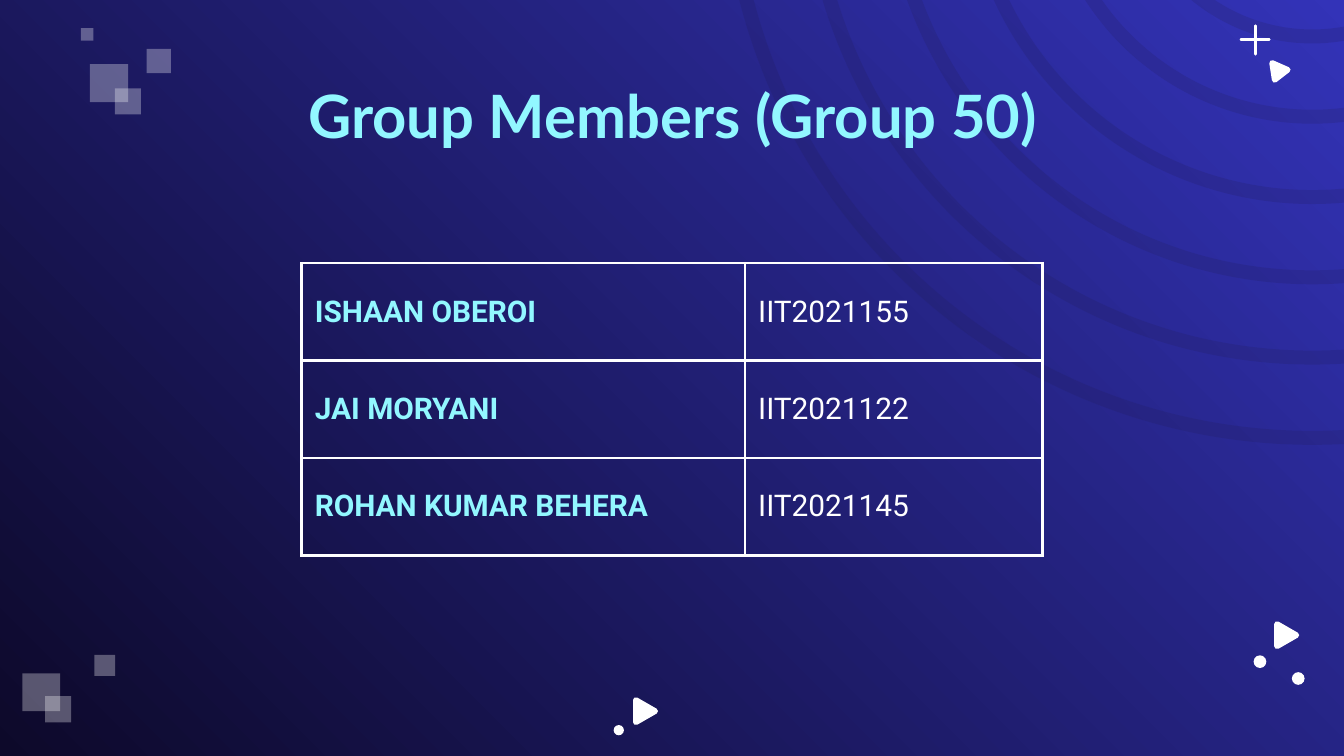
from lxml.etree import SubElement
from pptx import Presentation
from pptx.dml.color import RGBColor
from pptx.enum.shapes import MSO_CONNECTOR, MSO_SHAPE as Shape
from pptx.enum.text import MSO_ANCHOR as Anchor, PP_ALIGN as Align
from pptx.oxml.ns import qn
from pptx.util import Pt

THEME = {
    "night": "0D092A", "indigo": "3333B8", "ring": "201A4A",
    "white": "FFFFFF", "cyan": "92F7FF",
    "title_font": "Lato", "body_font": "Roboto",
    "title_size": 32, "body_size": 16, "border": 1.5,
}

# Content
TITLE = "Group Members (Group 50)"
MEMBERS = [
    ("ISHAAN OBEROI", "IIT2021155"),
    ("JAI MORYANI", "IIT2021122"),
    ("ROHAN KUMAR BEHERA", "IIT2021145"),
]

# Layout, in points
TITLE_BOX = (57, 42.5, 607, 37.5)
TABLE_LEFT, TABLE_TOP, ROW_HEIGHT = 161.5, 141, 52.2
COLUMN_WIDTHS = (237.5, 159.5)
PADDING = 7.2

# Decoration, in points
RING_CENTER, RING_RADIUS, RING_STEP = (703, -78.5), 316.8, 43
RING_COUNT, RING_WIDTH = 6, 7.5
SQUARES = [  # left, top, side
    (48.2, 34.3, 20.5), (61.5, 47.3, 14), (78.5, 26.2, 13), (43.4, 15.1, 6.7),
    (50.5, 350.9, 11.2), (12, 360.8, 20.3), (24.2, 373, 14),
]
DOTS = [(695.5, 363.5, 6.8), (675, 354.5, 6.8), (331.5, 391.2, 5.5)]  # x, y, diameter
PLUS_CENTER, PLUS_ARM = (672.4, 21.4), 7.6
ARROW = [(0, 0), (0, 12), (10.4, 6)]
TILTED_ARROW = [(0, 0), (1.4, 9.1), (8.4, 3.7)]
TRIANGLES = [(684.1, 334.3, ARROW), (340.6, 375, ARROW), (681.5, 33.7, TILTED_ARROW)]
TRIANGLE_EDGE = 3


def color(name):
    return RGBColor.from_string(THEME[name])


def paint(shape, name, opacity=100):
    shape.shadow.inherit = False
    shape.fill.solid()
    shape.fill.fore_color.rgb = color(name)
    shape.line.fill.background()
    if opacity < 100:
        tint = shape.fill._xPr.find(qn("a:solidFill"))[0]
        SubElement(tint, qn("a:alpha")).set("val", str(opacity * 1000))


def add_preset(slide, kind, left, top, side, name, opacity=100):
    shape = slide.shapes.add_shape(kind, Pt(left), Pt(top), Pt(side), Pt(side))
    paint(shape, name, opacity)
    return shape


def add_line(slide, x1, y1, x2, y2):
    line = slide.shapes.add_connector(MSO_CONNECTOR.STRAIGHT, Pt(x1), Pt(y1), Pt(x2), Pt(y2))
    line.line.color.rgb = color("white")
    line.line.width = Pt(1.5)
    line.line._get_or_add_ln().set("cap", "rnd")
    SubElement(line._element.spPr, qn("a:effectLst"))


def add_triangle(slide, left, top, corners):
    points = [(Pt(left + x), Pt(top + y)) for x, y in corners]
    builder = slide.shapes.build_freeform(*points[0])
    builder.add_line_segments(points[1:], close=True)
    triangle = builder.convert_to_shape()
    paint(triangle, "white")
    # A wide round-joined outline softens the corners
    triangle.line.color.rgb = color("white")
    triangle.line.width = Pt(TRIANGLE_EDGE)
    SubElement(triangle.line._get_or_add_ln(), qn("a:round"))


def style_text(para, font, size, name, bold):
    for span in para.runs:
        span.font.name = THEME[font]
        span.font.size = Pt(THEME[size])
        span.font.color.rgb = color(name)
        span.font.bold = bold


def pad(box):
    box.margin_left = box.margin_right = box.margin_top = box.margin_bottom = Pt(PADDING)
    box.vertical_anchor = Anchor.MIDDLE


def add_borders(cell):
    properties = cell._tc.get_or_add_tcPr()
    for position, side in enumerate(("lnL", "lnR", "lnT", "lnB")):
        edge = SubElement(properties, qn("a:" + side), w=str(Pt(THEME["border"])))
        fill = SubElement(edge, qn("a:solidFill"))
        SubElement(fill, qn("a:srgbClr"), val=THEME["white"])
        properties.insert(position, edge)


def draw_decoration(slide):
    # Concentric rings
    for index in range(RING_COUNT):
        radius = RING_RADIUS - index * RING_STEP
        ring = add_preset(slide, Shape.DONUT, RING_CENTER[0] - radius,
                          RING_CENTER[1] - radius, 2 * radius, "ring", 17)
        ring.adjustments[0] = RING_WIDTH / (2 * radius)
    # Translucent squares
    for left, top, side in SQUARES:
        add_preset(slide, Shape.RECTANGLE, left, top, side, "white", 31)
    # Plus, dots and triangles
    x, y = PLUS_CENTER
    add_line(slide, x, y - PLUS_ARM, x, y + PLUS_ARM)
    add_line(slide, x - PLUS_ARM, y, x + PLUS_ARM, y)
    for x, y, size in DOTS:
        add_preset(slide, Shape.OVAL, x - size / 2, y - size / 2, size, "white")
    for triangle in TRIANGLES:
        add_triangle(slide, *triangle)


def draw_title(slide):
    frame = slide.shapes.add_textbox(*map(Pt, TITLE_BOX)).text_frame
    frame.word_wrap = True
    frame.text = TITLE
    pad(frame)
    para = frame.paragraphs[0]
    para.alignment = Align.CENTER
    style_text(para, "title_font", "title_size", "cyan", True)


def draw_members(slide):
    table = slide.shapes.add_table(
        len(MEMBERS), len(COLUMN_WIDTHS), Pt(TABLE_LEFT), Pt(TABLE_TOP),
        Pt(sum(COLUMN_WIDTHS)), Pt(ROW_HEIGHT * len(MEMBERS))).table
    table.first_row = table.horz_banding = False
    for column, width in zip(table.columns, COLUMN_WIDTHS):
        column.width = Pt(width)
    for row, member in enumerate(MEMBERS):
        table.rows[row].height = Pt(ROW_HEIGHT)
        for column, text in enumerate(member):
            cell = table.cell(row, column)
            cell.text_frame.text = text
            cell.fill.background()
            pad(cell)
            add_borders(cell)
            is_name = column == 0
            style_text(cell.text_frame.paragraphs[0], "body_font", "body_size",
                       "cyan" if is_name else "white", is_name)


def main():
    deck = Presentation()
    deck.slide_width, deck.slide_height = Pt(720), Pt(405)
    page = deck.slides.add_slide(deck.slide_layouts[6])
    # Background gradient, from bottom left to top right
    backdrop = page.background.fill
    backdrop.gradient()
    backdrop.gradient_angle = 45
    for stop, name in zip(backdrop.gradient_stops, ("night", "indigo")):
        stop.color.rgb = color(name)
    draw_decoration(page)
    draw_title(page)
    draw_members(page)
    deck.save("out.pptx")


if __name__ == "__main__":
    main()
